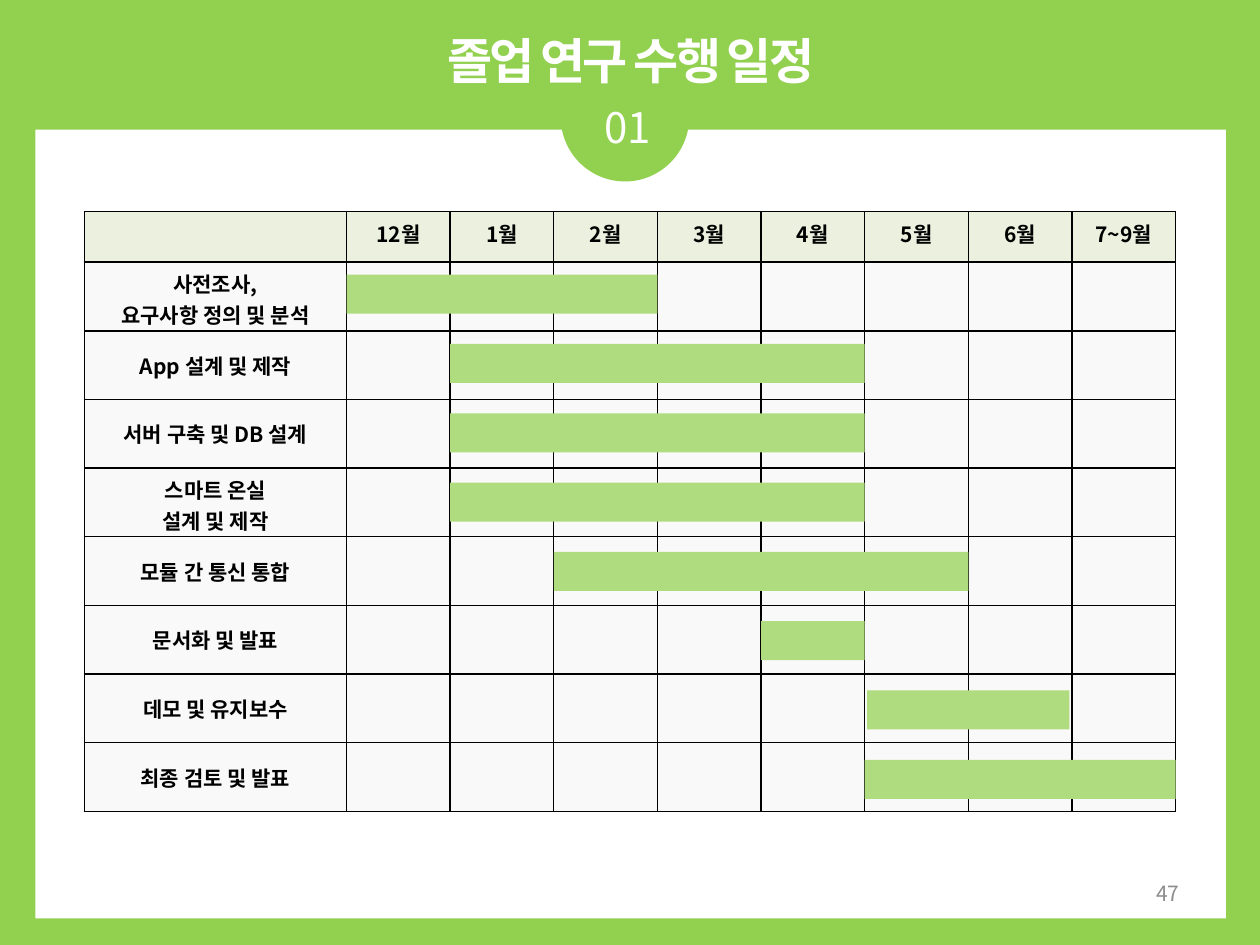
from lxml import etree
from pptx import Presentation
from pptx.dml.color import RGBColor
from pptx.enum.shapes import MSO_SHAPE
from pptx.enum.text import MSO_ANCHOR, MSO_AUTO_SIZE, PP_ALIGN
from pptx.oxml.ns import qn
from pptx.util import Inches, Pt

CENTER, RIGHT = PP_ALIGN.CENTER, PP_ALIGN.RIGHT
TOP, MIDDLE = MSO_ANCHOR.TOP, MSO_ANCHOR.MIDDLE
RECT, OVAL = MSO_SHAPE.RECTANGLE, MSO_SHAPE.OVAL
GROW = MSO_AUTO_SIZE.SHAPE_TO_FIT_TEXT

FONT = "Noto Sans CJK KR"
GREEN = RGBColor(0x92, 0xD0, 0x50)
BAR_GREEN = RGBColor(0xAF, 0xDC, 0x7E)
HEADER_FILL = RGBColor(0xEB, 0xF1, 0xDE)
CELL_FILL = RGBColor(0xF9, 0xF9, 0xF9)
GRAY = RGBColor(0x8C, 0x8C, 0x8C)
WHITE = RGBColor(0xFF, 0xFF, 0xFF)
BLACK = RGBColor(0, 0, 0)

TITLE, SECTION, PAGE = "졸업 연구 수행 일정", "01", "47"
MONTHS = ["12월", "1월", "2월", "3월", "4월", "5월", "6월", "7~9월"]
# task lines, first month column, number of months, inset at each end of the bar
TASKS = [
    (["사전조사,", "요구사항 정의 및 분석"], 0, 3, 0),
    (["App 설계 및 제작"], 1, 4, 0),
    (["서버 구축 및 DB 설계"], 1, 4, 0),
    (["스마트 온실", "설계 및 제작"], 1, 4, 0),
    (["모듈 간 통신 통합"], 2, 4, 0),
    (["문서화 및 발표"], 4, 1, 0),
    (["데모 및 유지보수"], 5, 2, 0.02),
    (["최종 검토 및 발표"], 5, 3, 0),
]

SLIDE_W, SLIDE_H = 10, 7.5
PANEL_X, PANEL_W = 0.28, 9.45
TABLE_X, TABLE_Y, TABLE_W, TABLE_H = 0.67, 1.68, 8.66, 4.76
LABEL_W, HEADER_H = 2.08, 0.4
MONTH_W = (TABLE_W - LABEL_W) / len(MONTHS)
ROW_H = (TABLE_H - HEADER_H) / len(TASKS)
BAR_Y, BAR_PITCH, BAR_H = 2.18, 0.55, 0.31


def write(tf, lines, size=12, color=BLACK, bold=False, align=CENTER, spacing=None):
    for i, line in enumerate(lines):
        p = tf.add_paragraph() if i else tf.paragraphs[0]
        p.alignment = align
        r = p.add_run()
        r.text = line
        r.font.size, r.font.bold, r.font.name = Pt(size), bold, FONT
        r.font.color.rgb = color
        rPr = r._r.get_or_add_rPr()
        etree.SubElement(rPr, qn("a:ea"), typeface=FONT)
        if spacing is not None:
            rPr.set("spc", str(int(spacing * 100)))


def add_text(slide, box, text, anchor=TOP, grow=True, **fmt):
    tf = slide.shapes.add_textbox(*map(Inches, box)).text_frame
    tf.word_wrap = True
    tf.vertical_anchor = anchor
    if grow:
        tf.auto_size = GROW
    write(tf, [text], **fmt)


def add_block(slide, kind, box, color):
    sp = slide.shapes.add_shape(kind, *map(Inches, box))
    sp.shadow.inherit = False
    sp.fill.solid()
    sp.fill.fore_color.rgb = color
    sp.line.fill.background()


def style_cell(cell, color):
    """Give the cell thin black borders and a plain fill."""
    tcPr = cell._tc.get_or_add_tcPr()
    for side in ("lnL", "lnR", "lnT", "lnB"):
        ln = etree.SubElement(tcPr, qn(f"a:{side}"), w=str(Pt(1)))
        fill = etree.SubElement(ln, qn("a:solidFill"))
        etree.SubElement(fill, qn("a:srgbClr"), val=str(BLACK))
    cell.fill.solid()
    cell.fill.fore_color.rgb = color


def add_schedule(slide):
    box = map(Inches, (TABLE_X, TABLE_Y, TABLE_W, TABLE_H))
    table = slide.shapes.add_table(len(TASKS) + 1, len(MONTHS) + 1, *box).table
    for i, col in enumerate(table.columns):
        col.width = Inches(MONTH_W if i else LABEL_W)
    for i, row in enumerate(table.rows):
        row.height = Inches(ROW_H if i else HEADER_H)
        for cell in row.cells:
            style_cell(cell, CELL_FILL if i else HEADER_FILL)
    for i, month in enumerate(MONTHS, 1):
        write(table.cell(0, i).text_frame, [month], bold=True)
    for i, (lines, first, months, inset) in enumerate(TASKS):
        label = table.cell(i + 1, 0)
        label.vertical_anchor = MIDDLE
        write(label.text_frame, lines, bold=True)
        x = TABLE_X + LABEL_W + first * MONTH_W + inset
        width = months * MONTH_W - 2 * inset
        add_block(slide, RECT, (x, BAR_Y + i * BAR_PITCH, width, BAR_H), BAR_GREEN)


def main():
    prs = Presentation()
    prs.slide_width, prs.slide_height = Inches(SLIDE_W), Inches(SLIDE_H)
    s = prs.slides.add_slide(prs.slide_layouts[6])
    s.background.fill.solid()
    s.background.fill.fore_color.rgb = GREEN

    add_block(s, RECT, (PANEL_X, 1.03, PANEL_W, 6.26), WHITE)
    add_block(s, OVAL, (4.45, 0.42, 1.02, 1.02), GREEN)
    add_text(s, (4.45, 0.76, 1.06, 0.5), SECTION, size=24, color=WHITE)
    add_text(s, (PANEL_X, 0.19, PANEL_W, 0.57), TITLE,
             size=28, color=WHITE, bold=True, spacing=-1.5)
    add_text(s, (7.13, 6.89, 2.33, 0.4), PAGE, anchor=MIDDLE, grow=False,
             color=GRAY, align=RIGHT)
    add_schedule(s)
    prs.save("out.pptx")


if __name__ == "__main__":
    main()
